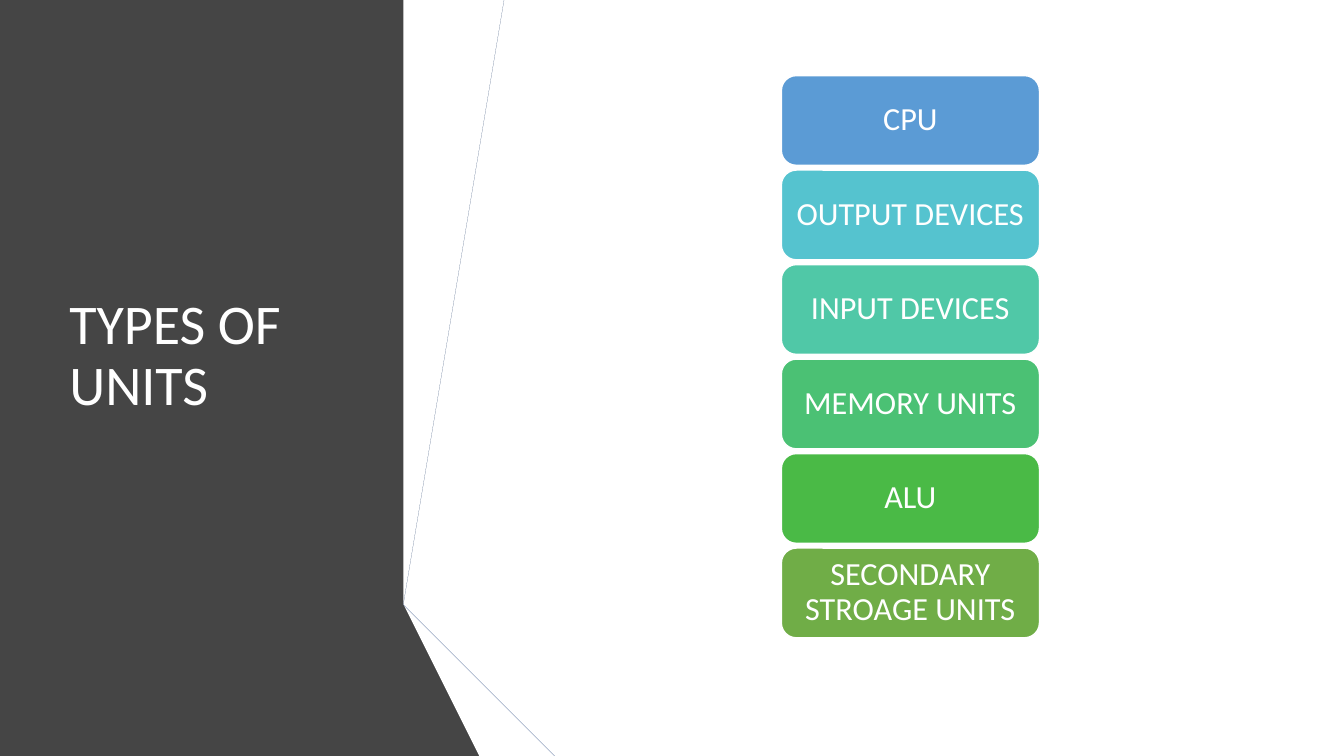
from pptx import Presentation
from pptx import util as u
from pptx.dml.color import RGBColor
from pptx.enum import shapes, text

WIDE, HIGH = 13.33, 7.5
FONT = "Calibri"
HUES = {
    "white": "FFFFFF", "panel": "454545", "blue": "4472C4", "gray": "595959",
    "black": "262626", "navy": "203864", "fold": "2F5597", "dark": "404040",
}
TITLE = "TYPES OF UNITS"
UNITS = [
    ("CPU", "5B9BD5"),
    ("OUTPUT DEVICES", "55C3CF"),
    ("INPUT DEVICES", "50C8A7"),
    ("MEMORY UNITS", "4BC174"),
    ("ALU", "4ABA46"),
    ("SECONDARY STROAGE UNITS", "70AD47"),
]
# Folded ribbons, back to front: colour and corners in inches
BANDS = [
    ("panel", [(0, 0), (4.49, 0), (3.56, 5.75), (4.82, HIGH), (0, HIGH)]),
    ("blue", [(3.96, 5.78), (4.23, 5.83), (5.19, 0), (4.91, 0)]),
    ("gray", [(4.85, 0), (4.57, 0), (3.63, 5.73), (3.9, 5.77)]),
    ("black", [(3.63, 5.73), (4.91, HIGH), (4.97, HIGH)]),
    ("navy", [(3.96, 5.79), (5.54, HIGH), (5.6, HIGH)]),
    ("fold", [(3.96, 5.79), (5.6, HIGH), (6.29, HIGH), (4.23, 5.83), (3.96, 5.78)]),
    ("dark", [(5.48, HIGH), (3.95, 5.83), (3.9, 5.77), (3.63, 5.73), (4.97, HIGH)]),
]
# Stack of units: left, top, width, height, row pitch
LEFT, TOP, CARD, TALL = 7.75, 0.75, 2.56, 0.89
PITCH = HIGH / 8


def paint(shape, hue):
    shape.shadow.inherit = False
    shape.fill.solid()
    shape.fill.fore_color.rgb = RGBColor.from_string(hue)
    shape.line.fill.background()


def write(shape, words, size, align):
    frame = shape.text_frame
    frame.word_wrap = True
    frame.vertical_anchor = text.MSO_ANCHOR.MIDDLE
    para = frame.paragraphs[0]
    para.text = words
    para.alignment = align
    para.line_spacing = 0.9
    para.font.name = FONT
    para.font.size = u.Pt(size)
    para.font.color.rgb = RGBColor.from_string(HUES["white"])


deck = Presentation()
deck.slide_width, deck.slide_height = u.Inches(WIDE), u.Inches(HIGH)
slide = deck.slides.add_slide(deck.slide_layouts[6])

# Panel and ribbons
for hue, spots in BANDS:
    pen = slide.shapes.build_freeform(*spots[0], scale=u.Inches(1))
    pen.add_line_segments(spots[1:], close=True)
    paint(pen.convert_to_shape(), HUES[hue])

# Title
title = slide.shapes.add_textbox(*map(u.Inches, (0.59, TOP, 3.04, 5.58)))
write(title, TITLE, 40, text.PP_ALIGN.LEFT)

# Unit cards
for row, (name, hue) in enumerate(UNITS):
    spot = (LEFT, TOP + row * PITCH, CARD, TALL)
    card = slide.shapes.add_shape(
        shapes.MSO_SHAPE.ROUNDED_RECTANGLE, *map(u.Inches, spot))
    paint(card, hue)
    card.line.color.rgb = RGBColor.from_string(HUES["white"])
    card.line.width = u.Pt(1)
    write(card, name, 23, text.PP_ALIGN.CENTER)
    # The rounded corners already inset the text area
    card.text_frame.margin_left = card.text_frame.margin_right = u.Inches(0.06)

deck.save("out.pptx")
